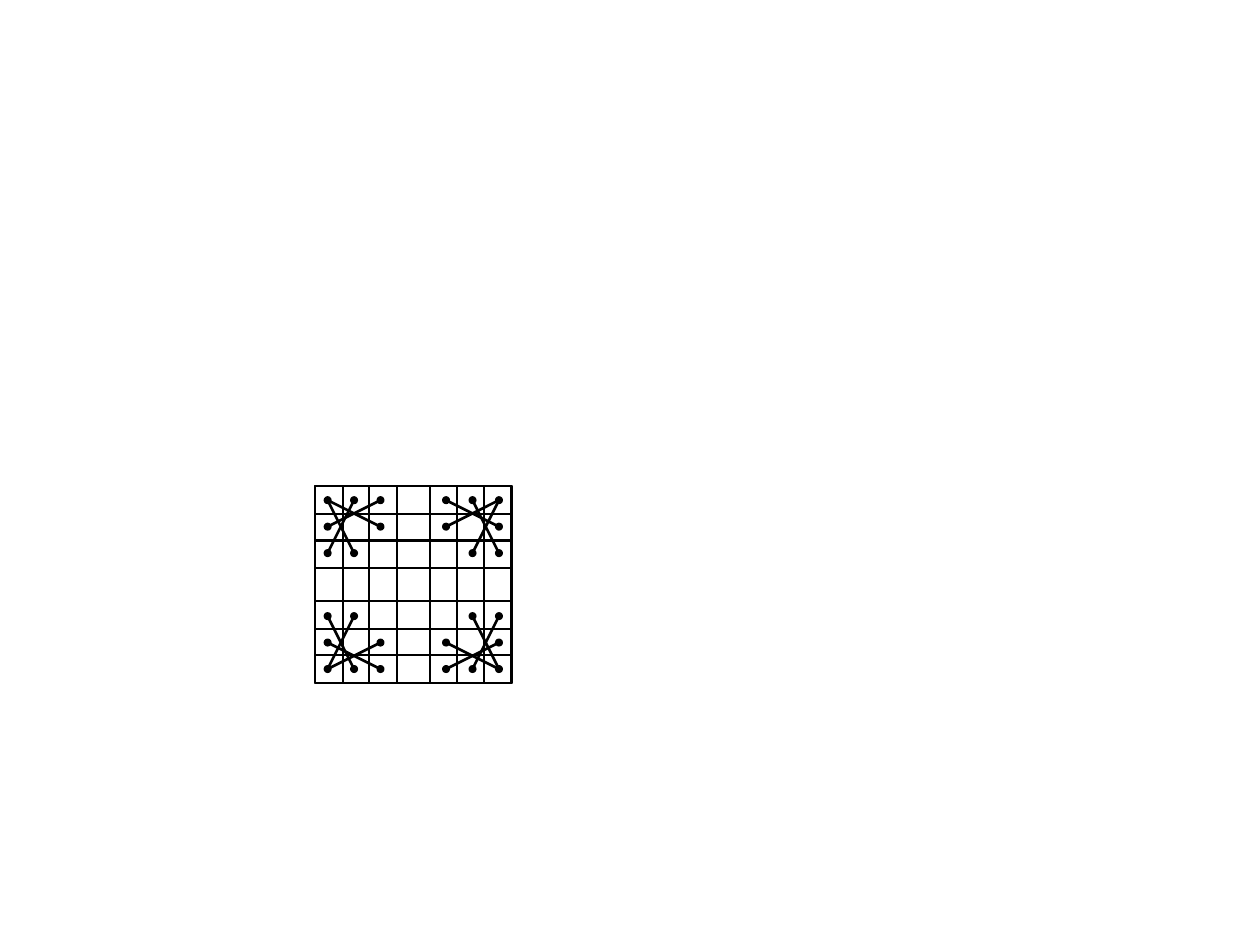
"""Draw a seven-cell grid with crossed links between the dots in each corner."""
from pptx import Presentation
from pptx import util as u
from pptx.dml.color import RGBColor
from pptx.enum import shapes
from pptx.oxml.ns import qn
from lxml import etree

BLACK = "000000"
LEFT, TOP, SIDE, BAND = 2.5, 3.86, 1.56, 0.22
SHIFTS = (1.34, 0.91, 0.43, 0)
STEP, DOT = 0.21, 0.05
WEST, EAST, NORTH, SOUTH = 2.6, 3.96, 3.97, 5.31
DOTS = ((0, 2), (0, 0), (0, 1), (2, 0), (1, 0), (2, 1), (1, 2))
LINKS = (((0, 0), (1, 2)), ((0, 0), (2, 1)), ((1, 0), (0, 2)), ((2, 0), (0, 1)))


def color(code):
    """Turn a hex string into a colour."""
    return RGBColor.from_string(code)


def stroke(line, width):
    """Give a line its colour and width."""
    line.color.rgb = color(BLACK)
    line.width = u.Pt(width)


def add_band(tree, x, y, w, h):
    """Add one hollow strip of the grid."""
    kind = shapes.MSO_SHAPE.RECTANGLE
    band = tree.add_shape(kind, *map(u.Inches, (x, y, w, h)))
    band.shadow.inherit = False
    band.fill.background()
    stroke(band.line, 1.25)


def add_dot(tree, x, y):
    """Add a black dot centred on a point."""
    box = (x - DOT / 2, y - DOT / 2, DOT, DOT)
    dot = tree.add_shape(shapes.MSO_SHAPE.OVAL, *map(u.Inches, box))
    dot.shadow.inherit = False
    dot.fill.solid()
    dot.fill.fore_color.rgb = color(BLACK)
    stroke(dot.line, 1)


def add_link(tree, start, end):
    """Add a straight link between two points."""
    kind = shapes.MSO_CONNECTOR.STRAIGHT
    link = tree.add_connector(kind, *map(u.Inches, (*start, *end)))
    stroke(link.line, 1.5)
    etree.SubElement(link._element.spPr, qn("a:effectLst"))


def add_corner(slide, x, y):
    """Add the dots and links that run inward from a corner."""
    tree = slide.shapes.add_group_shape().shapes
    across = STEP if x == WEST else -STEP
    down = STEP if y == NORTH else -STEP

    def place(cell):
        """Find the centre of a cell."""
        return x + across * cell[0], y + down * cell[1]

    for cell in DOTS:
        add_dot(tree, *place(cell))
    for start, end in LINKS:
        add_link(tree, place(start), place(end))


def main():
    """Build and save the slide."""
    deck = Presentation()
    deck.slide_width, deck.slide_height = u.Inches(10), u.Inches(7.5)
    slide = deck.slides.add_slide(deck.slide_layouts[6])
    for y in (NORTH, SOUTH):
        add_corner(slide, WEST, y)
    for shift in SHIFTS:
        add_band(slide.shapes, LEFT, TOP + shift, SIDE, BAND)
    for y in (NORTH, SOUTH):
        add_corner(slide, EAST, y)
    for shift in reversed(SHIFTS):
        add_band(slide.shapes, LEFT + shift, TOP, BAND, SIDE)
    deck.save("out.pptx")


if __name__ == "__main__":
    main()
